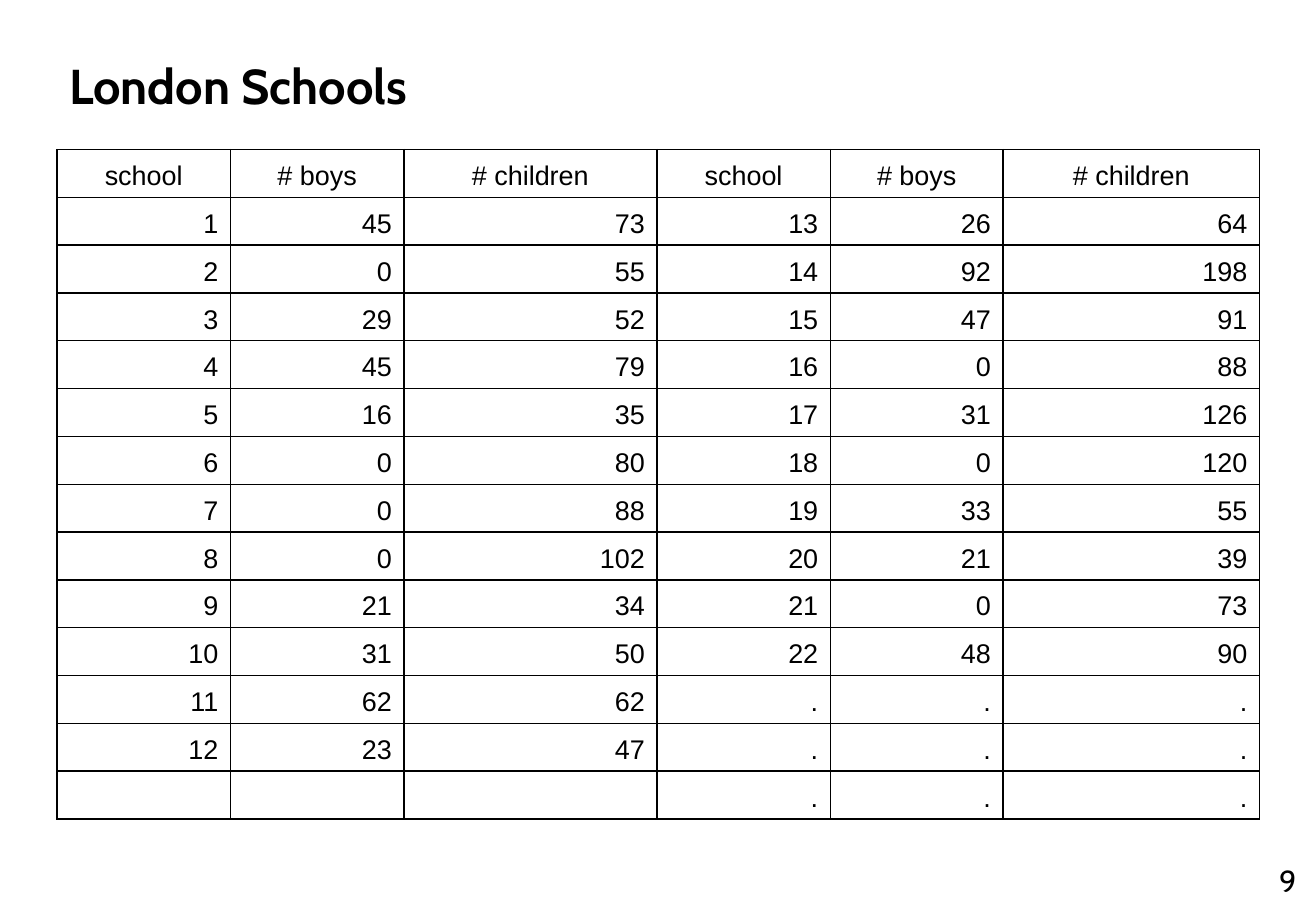
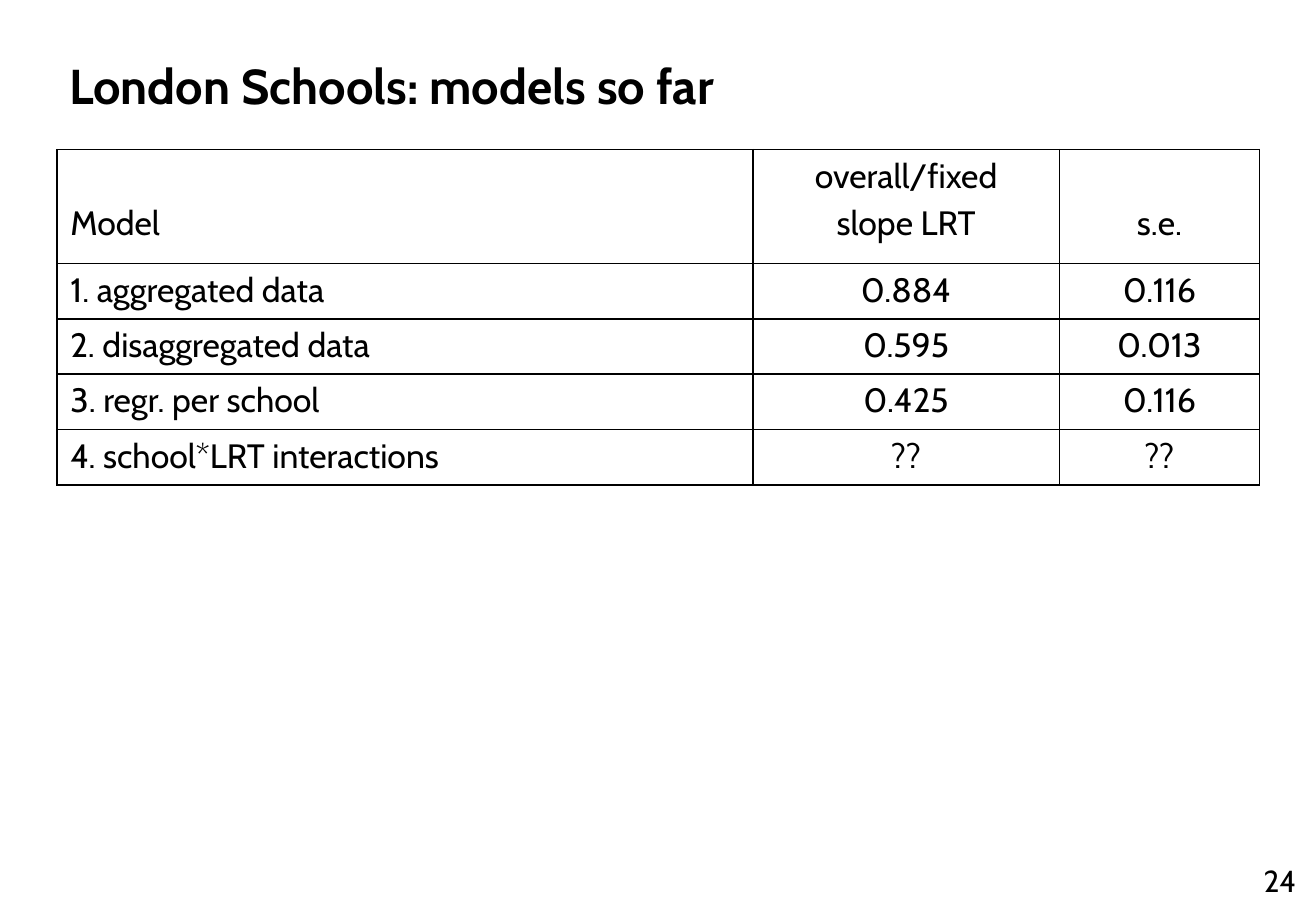
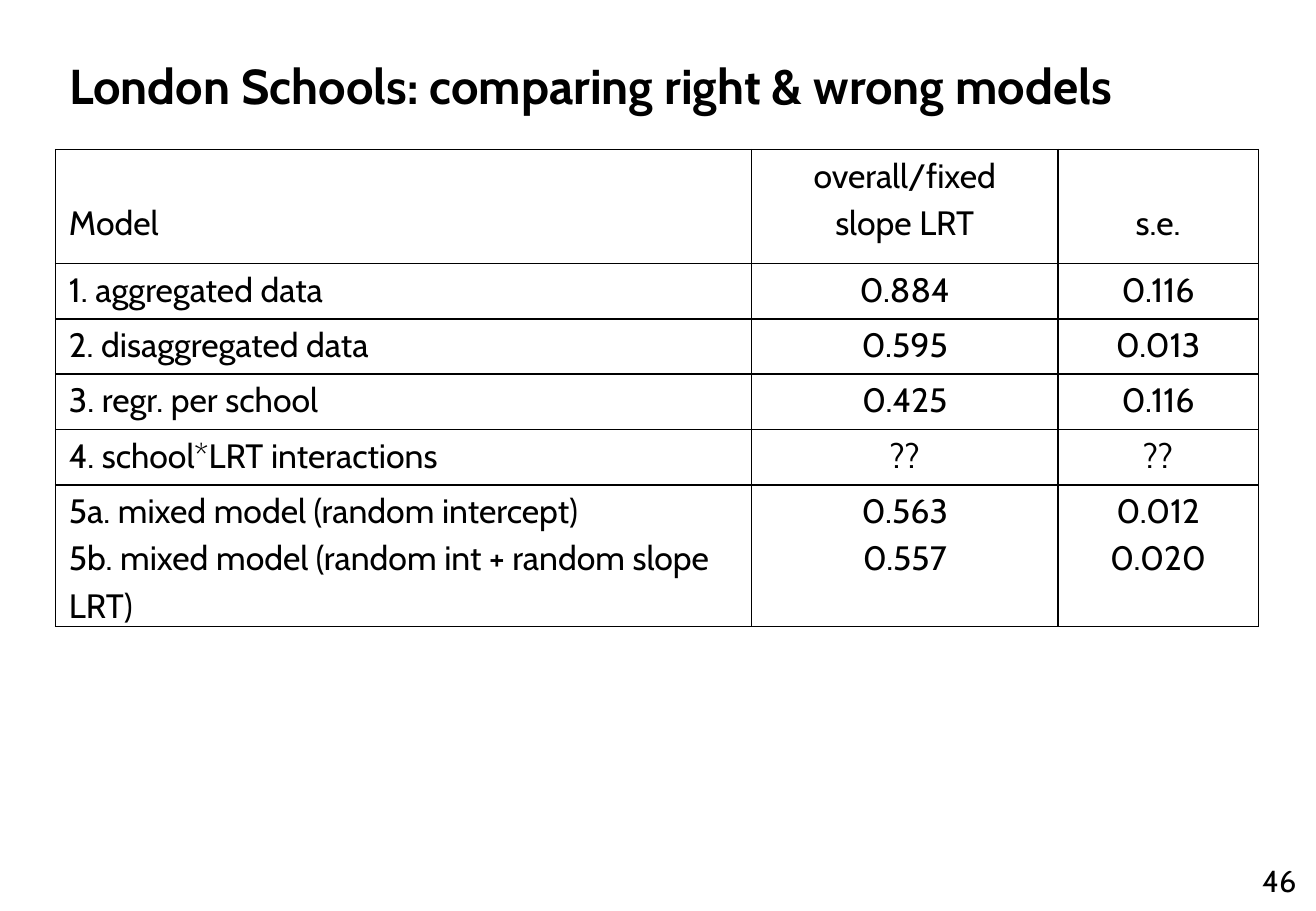
"""Build three slides of tables about the London Schools models."""
from dataclasses import dataclass

from lxml import etree
from pptx import Presentation
from pptx.dml.color import RGBColor
from pptx.enum import text
from pptx.oxml import ns
from pptx.util import Pt


@dataclass(frozen=True)
class Theme:
    ink: str = "000000"
    font: str = "Cabin"
    data_font: str = "Arial"
    title_size: float = 29
    data_size: float = 16
    model_size: float = 20
    number_size: float = 18
    border: float = 1
    model_line: float = 28


THEME = Theme()
LEFT, CENTER, RIGHT = text.PP_ALIGN.LEFT, text.PP_ALIGN.CENTER, text.PP_ALIGN.RIGHT
TOP, MIDDLE, BOTTOM = (
    text.MSO_ANCHOR.TOP, text.MSO_ANCHOR.MIDDLE, text.MSO_ANCHOR.BOTTOM)

SLIDE_SIZE = (780, 540)
TITLE_BOX = (33.8, 29.5, 712.8, 48.2)
NUMBER_BOX = (607.7, 507.6, 167.8, 28.8)
TABLE_TOP = 88.6

SCHOOL_HEADER = ("school", "# boys", "# children")
SCHOOLS = [
    (45, 73), (0, 55), (29, 52), (45, 79), (16, 35), (0, 80), (0, 88), (0, 102),
    (21, 34), (31, 50), (62, 62), (23, 47), (26, 64), (92, 198), (47, 91),
    (0, 88), (31, 126), (0, 120), (33, 55), (21, 39), (0, 73), (48, 90),
]
ROWS_PER_HALF = 13
SCHOOLS_IN_FIRST_HALF = 12

MODELS = [
    ("Model", "overall/fixed\nslope LRT", "s.e."),
    ("1. aggregated data", "0.884", "0.116"),
    ("2. disaggregated data", "0.595", "0.013"),
    ("3. regr. per school", "0.425", "0.116"),
    ("4. school*LRT interactions", "??", "??"),
]
MIXED_MODELS = (
    "5a. mixed model (random intercept)\n"
    "5b. mixed model (random int + random slope LRT)",
    "0.563\n0.557",
    "0.012\n0.020",
)


def school_rows():
    numbered = [(i, *counts) for i, counts in enumerate(SCHOOLS, 1)]
    first = numbered[:SCHOOLS_IN_FIRST_HALF]
    second = numbered[SCHOOLS_IN_FIRST_HALF:]
    first += [("",) * 3] * (ROWS_PER_HALF - len(first))
    second += [(".",) * 3] * (ROWS_PER_HALF - len(second))
    return [SCHOOL_HEADER * 2] + [a + b for a, b in zip(first, second)]


SCHOOL_STYLE = {
    "columns": (102.8, 102.8, 150, 102.8, 102.4, 152),
    "font": THEME.data_font,
    "size": THEME.data_size,
    "header_align": (CENTER,) * 6,
    "align": (RIGHT,) * 6,
    "spacing": 1.0,
    "anchor": BOTTOM,
    "margins": (7.2, 3.6),
}
MODEL_STYLE = {
    "columns": (412.5, 181.6, 118.7),
    "font": THEME.font,
    "size": THEME.model_size,
    "header_align": (LEFT, CENTER, CENTER),
    "align": (LEFT, CENTER, CENTER),
    "spacing": 1.15,
    "anchor": TOP,
    "margins": (7.9, 0),
}
MODEL_HEIGHTS = [67.6] + [32.8] * 4

SLIDES = [
    ("London Schools", "9", 33.8, school_rows(),
     [28.36] * (ROWS_PER_HALF + 1), SCHOOL_STYLE),
    ("London Schools: models so far", "24", 33.8, MODELS,
     MODEL_HEIGHTS, MODEL_STYLE),
    ("London Schools: comparing right & wrong models", "46", 33,
     MODELS + [MIXED_MODELS], MODEL_HEIGHTS + [84], MODEL_STYLE),
]


def set_values(target, values):
    for name, value in values.items():
        setattr(target, name, value)


def write(frame, content, font, size, align, spacing=1.0, bold=False):
    frame.text = content
    for paragraph in frame.paragraphs:
        set_values(paragraph, {"alignment": align, "line_spacing": spacing})
        for run in paragraph.runs:
            set_values(run.font, {"name": font, "size": Pt(size), "bold": bold})
            run.font.color.rgb = RGBColor.from_string(THEME.ink)


def add_borders(cell):
    properties = cell._tc.get_or_add_tcPr()
    for position, side in enumerate(("lnL", "lnR", "lnT", "lnB")):
        line = etree.Element(ns.qn(f"a:{side}"), w=str(Pt(THEME.border)))
        fill = etree.SubElement(line, ns.qn("a:solidFill"))
        etree.SubElement(fill, ns.qn("a:srgbClr"), val=THEME.ink)
        properties.insert(position, line)


def add_title(slide, content):
    frame = slide.shapes.title.text_frame
    set_values(frame, {"vertical_anchor": TOP, "word_wrap": True,
                       "auto_size": text.MSO_AUTO_SIZE.NONE})
    write(frame, content, THEME.font, THEME.title_size, LEFT, bold=True)


def add_number(slide, content):
    frame = slide.shapes.add_textbox(*map(Pt, NUMBER_BOX)).text_frame
    set_values(frame, {"vertical_anchor": MIDDLE, "word_wrap": True})
    write(frame, content, THEME.font, THEME.number_size, RIGHT)


def add_grid(slide, left, rows, heights, style):
    columns = style["columns"]
    table = slide.shapes.add_table(
        len(rows), len(columns), Pt(left), Pt(TABLE_TOP),
        Pt(sum(columns)), Pt(sum(heights))).table
    set_values(table, {"first_row": False, "horz_banding": False})
    for column, width in zip(table.columns, columns):
        column.width = Pt(width)
    side, edge = style["margins"]
    header_lines = max(value.count("\n") for value in rows[0])
    for r, (values, height) in enumerate(zip(rows, heights)):
        table.rows[r].height = Pt(height)
        aligns = style["align"] if r else style["header_align"]
        for c, value in enumerate(map(str, values)):
            cell = table.cell(r, c)
            missing_lines = 0 if r else header_lines - value.count("\n")
            top = edge + missing_lines * THEME.model_line
            set_values(cell, {
                "margin_left": Pt(side), "margin_right": Pt(side),
                "margin_top": Pt(top if value else 0),
                "margin_bottom": Pt(edge if value else 0),
                "vertical_anchor": style["anchor"]})
            cell.fill.background()
            add_borders(cell)
            if value:
                write(cell.text_frame, value, style["font"], style["size"],
                      aligns[c], style["spacing"])


def main():
    presentation = Presentation()
    set_values(presentation, dict(zip(("slide_width", "slide_height"),
                                      map(Pt, SLIDE_SIZE))))
    layout = presentation.slide_layouts[5]
    set_values(layout.placeholders[0], dict(
        zip(("left", "top", "width", "height"), map(Pt, TITLE_BOX))))
    for title, number, left, rows, heights, style in SLIDES:
        slide = presentation.slides.add_slide(layout)
        add_title(slide, title)
        add_grid(slide, left, rows, heights, style)
        add_number(slide, number)
    presentation.save("out.pptx")


if __name__ == "__main__":
    main()
